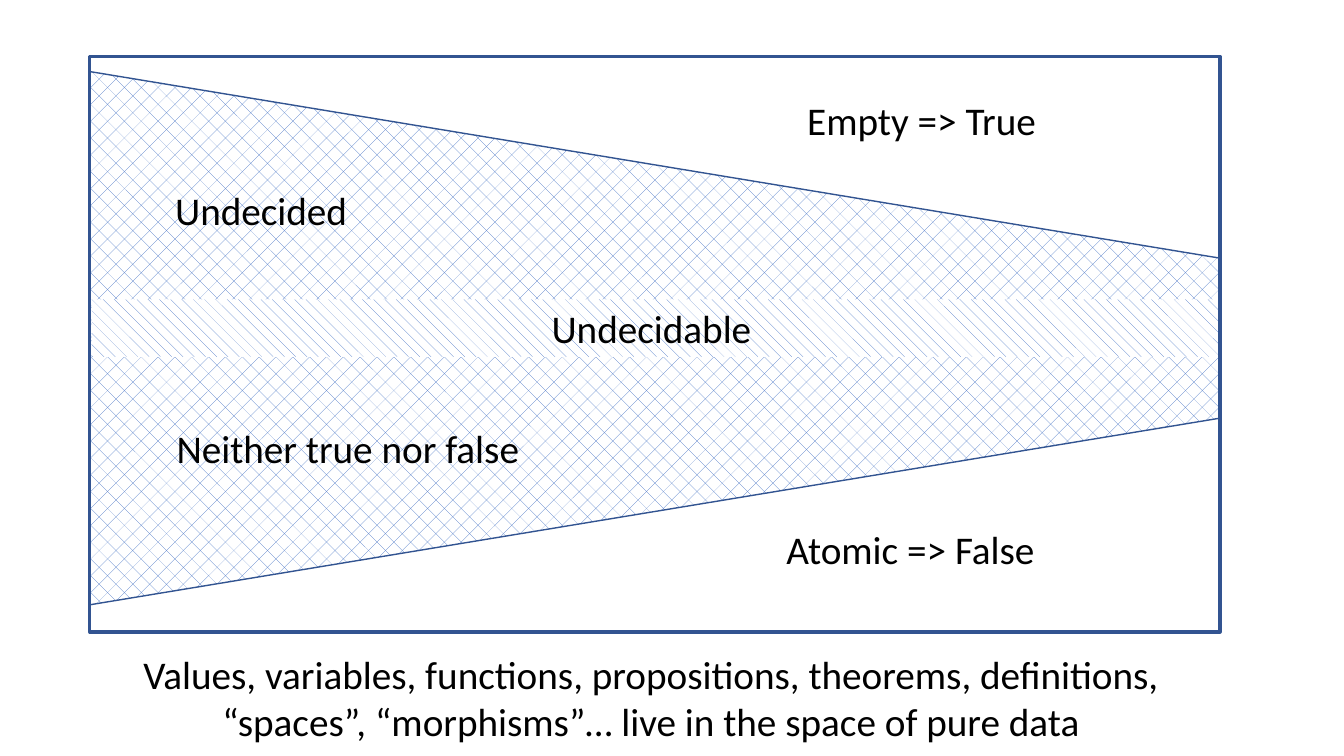
"""Builds a slide on the undecided space between true and false."""
from pptx import Presentation
from pptx.dml.color import RGBColor
from pptx.enum.dml import MSO_PATTERN
from pptx.enum.shapes import MSO_SHAPE
from pptx.enum.text import MSO_ANCHOR, MSO_AUTO_SIZE, PP_ALIGN
from pptx.util import Inches, Pt

COLORS = {"text": "000000", "hatch": "4472C4", "paper": "FFFFFF", "outline": "325491"}


class SlideBuilder:
    def __init__(self, page, font="Calibri", size=28):
        self.page = page
        self.font = font
        self.size = size

    def color(self, name):
        return RGBColor.from_string(COLORS[name])

    def shape(self, kind, place, pattern=None, line_width=None):
        shape = self.page.shapes.add_shape(kind, *map(Inches, place))
        shape.shadow.inherit = False
        if pattern is None:
            shape.fill.background()
        else:
            shape.fill.patterned()
            shape.fill.pattern = pattern
            shape.fill.fore_color.rgb = self.color("hatch")
            shape.fill.back_color.rgb = self.color("paper")
        if line_width is None:
            shape.line.fill.background()
        else:
            shape.line.color.rgb = self.color("outline")
            shape.line.width = Pt(line_width)
        return shape

    def set_text(self, box, text):
        frame = box.text_frame
        frame.word_wrap = True
        frame.auto_size = MSO_AUTO_SIZE.SHAPE_TO_FIT_TEXT
        frame.vertical_anchor = MSO_ANCHOR.TOP
        para = frame.paragraphs[0]
        para.text = text
        para.alignment = PP_ALIGN.CENTER
        para.font.name = self.font
        para.font.size = Pt(self.size)
        para.font.color.rgb = self.color("text")

    def label(self, text, place):
        self.set_text(self.page.shapes.add_textbox(*map(Inches, place)), text)


def main():
    deck = Presentation()
    deck.slide_width = Inches(13.33)
    deck.slide_height = Inches(7.5)
    builder = SlideBuilder(deck.slides.add_slide(deck.slide_layouts[6]))

    funnel = builder.shape(MSO_SHAPE.TRAPEZOID, (3.85, -2.25, 5.29, 11.21),
                           MSO_PATTERN.DOTTED_DIAMOND, 1)
    funnel.rotation = 90
    funnel.adjustments[0] = 0.35
    builder.shape(MSO_SHAPE.RECTANGLE, (0.89, 3.03, 11.13, 0.46), MSO_PATTERN.DOTTED_DIAMOND)
    band = builder.shape(MSO_SHAPE.RECTANGLE, (0.91, 2.97, 11.19, 0.57), MSO_PATTERN.SHINGLE)
    builder.set_text(band, "Undecidable ")

    labels = [
        ("Values, variables, functions, propositions, theorems, definitions, "
         "“spaces”, “morphisms”… live in the space of pure data", (0.85, 6.4, 11.21, 1.04)),
        ("Empty => True", (7.52, 0.91, 3.24, 0.57)),
        ("Atomic => False", (7.41, 5.16, 3.24, 0.57)),
        ("Undecided", (0.97, 1.8, 3.24, 0.57)),
        ("Neither true nor false", (1.35, 4.16, 4.2, 0.57)),
    ]
    for text, place in labels:
        builder.label(text, place)

    builder.shape(MSO_SHAPE.RECTANGLE, (0.89, 0.56, 11.21, 5.71), line_width=2.25)
    deck.save("out.pptx")


if __name__ == "__main__":
    main()
